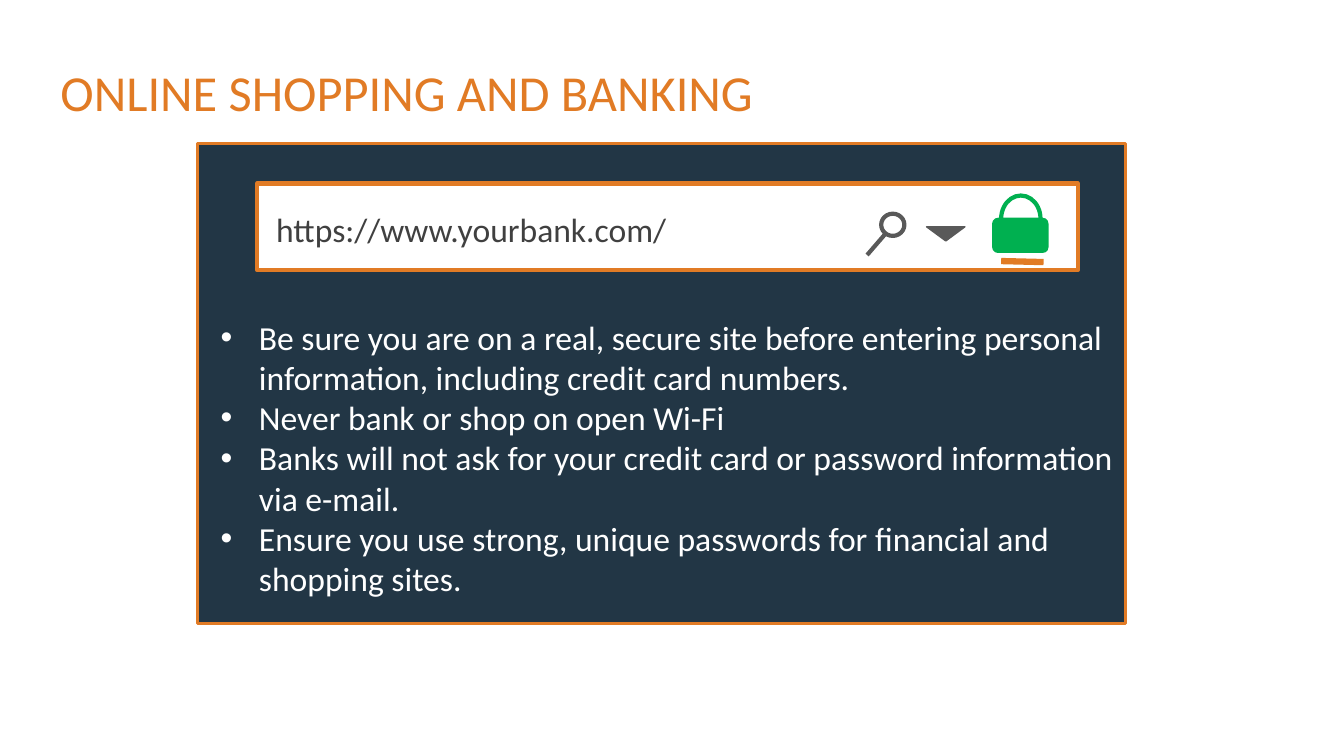
from lxml import etree
from pptx import Presentation
from pptx.dml.color import RGBColor
from pptx.enum.shapes import MSO_CONNECTOR as Link, MSO_SHAPE as Form
from pptx.enum.text import MSO_ANCHOR as Anchor, MSO_AUTO_SIZE as Fit, PP_ALIGN as Align
from pptx.oxml.ns import qn
from pptx.util import Pt

PX = 9144  # 100 px to the inch
INK = {"orange": "E17B25", "navy": "223645", "white": "FFFFFF",
       "text": "404040", "gray": "595959", "green": "00B050"}
TIPS = [
    "Be sure you are on a real, secure site before entering personal "
    "information, including credit card numbers.",
    "Never bank or shop on open Wi-Fi",
    "Banks will not ask for your credit card or password information via e-mail.",
    "Ensure you use strong, unique passwords for financial and shopping sites.",
]


def emu(*vals):
    return [val * PX for val in vals]


def tint(name):
    return RGBColor.from_string(INK[name])


def edge(line, name, width):
    line.color.rgb = tint(name)
    line.width = Pt(width)


def shape(slide, form, box, fill=None, line=None, width=1):
    item = slide.shapes.add_shape(form, *emu(*box))
    item.shadow.inherit = False
    if fill:
        item.fill.solid()
        item.fill.fore_color.rgb = tint(fill)
    else:
        item.fill.background()
    if line:
        edge(item.line, line, width)
    else:
        item.line.fill.background()
    return item


def stroke(slide, ends, name, width):
    item = slide.shapes.add_connector(Link.STRAIGHT, *emu(*ends))
    edge(item.line, name, width)
    etree.SubElement(item._element.spPr, qn("a:effectLst"))


def style(para, size, name):
    for run in para.runs:
        run.font.name = "Calibri"
        run.font.size = Pt(size)
        run.font.color.rgb = tint(name)


def bullet(para, indent):
    props = para._p.get_or_add_pPr()
    props.set("marL", str(indent * PX))
    props.set("indent", str(-indent * PX))
    etree.SubElement(props, qn("a:buFont")).set("typeface", "Arial")
    etree.SubElement(props, qn("a:buChar")).set("char", "•")


def write(slide, box, lines, size, name, indent=0):
    frame = slide.shapes.add_textbox(*emu(*box)).text_frame
    frame.word_wrap = True
    for num, line in enumerate(lines):
        para = frame.add_paragraph() if num else frame.paragraphs[0]
        para.text = line
        if indent:
            bullet(para, indent)
        style(para, size, name)


def title(slide, box):
    item = slide.shapes.title
    item.left, item.top, item.width, item.height = emu(*box)
    frame = item.text_frame
    frame.text = "ONLINE SHOPPING AND BANKING"
    frame.auto_size = Fit.NONE
    frame.vertical_anchor = Anchor.TOP
    frame.margin_top = 7 * PX
    frame.paragraphs[0].alignment = Align.LEFT
    style(frame.paragraphs[0], 36, "orange")


def lens(slide, x, y):
    shape(slide, Form.OVAL, (x + 14, y, 23, 22), "white", "gray", 3)
    stroke(slide, (x + 19, y + 19, x, y + 41), "gray", 3)


def lock(slide, x, y):
    shape(slide, Form.ROUNDED_RECTANGLE, (x, y + 22, 56, 35), "green")
    stroke(slide, (x + 9, y + 65, x + 51, y + 66), "orange", 4.5)
    bow = shape(slide, Form.ARC, (x + 9, y, 39, 46), None, "green", 3)
    # Adjustments count 100000ths; the arc angles are 60000ths of a degree.
    bow.adjustments[0] = 65.24
    bow.adjustments[1] = 0


def address(slide, box):
    """Browser bar with its web address and icons."""
    x, y, wide, _ = box
    end = x + wide
    shape(slide, Form.RECTANGLE, box, "white", "orange", 3)
    write(slide, (x + 9, y + 20, 432, 50), ["https://www.yourbank.com/"], 24, "text")
    lens(slide, end - 209, y + 30)
    arrow = shape(slide, Form.ISOSCELES_TRIANGLE, (end - 150, y + 43, 38, 14),
                  "gray", "gray")
    arrow.rotation = 180
    lock(slide, end - 85, y + 12)


def panel(slide, box):
    x, y, wide, high = box
    shape(slide, Form.RECTANGLE, box, "navy", "orange", 2.25)
    address(slide, (x + 59, y + 40, 814, 86))
    write(slide, (x + 13, y + 167, wide - 13, high - 167), TIPS, 24, "white", 38)


def main():
    deck = Presentation()
    deck.slide_width, deck.slide_height = emu(1333, 750)
    slide = deck.slides.add_slide(deck.slide_layouts[5])
    title(slide, (50, 54, 796, 61))
    panel(slide, (196, 142, 920, 477))
    deck.save("out.pptx")


if __name__ == "__main__":
    main()
